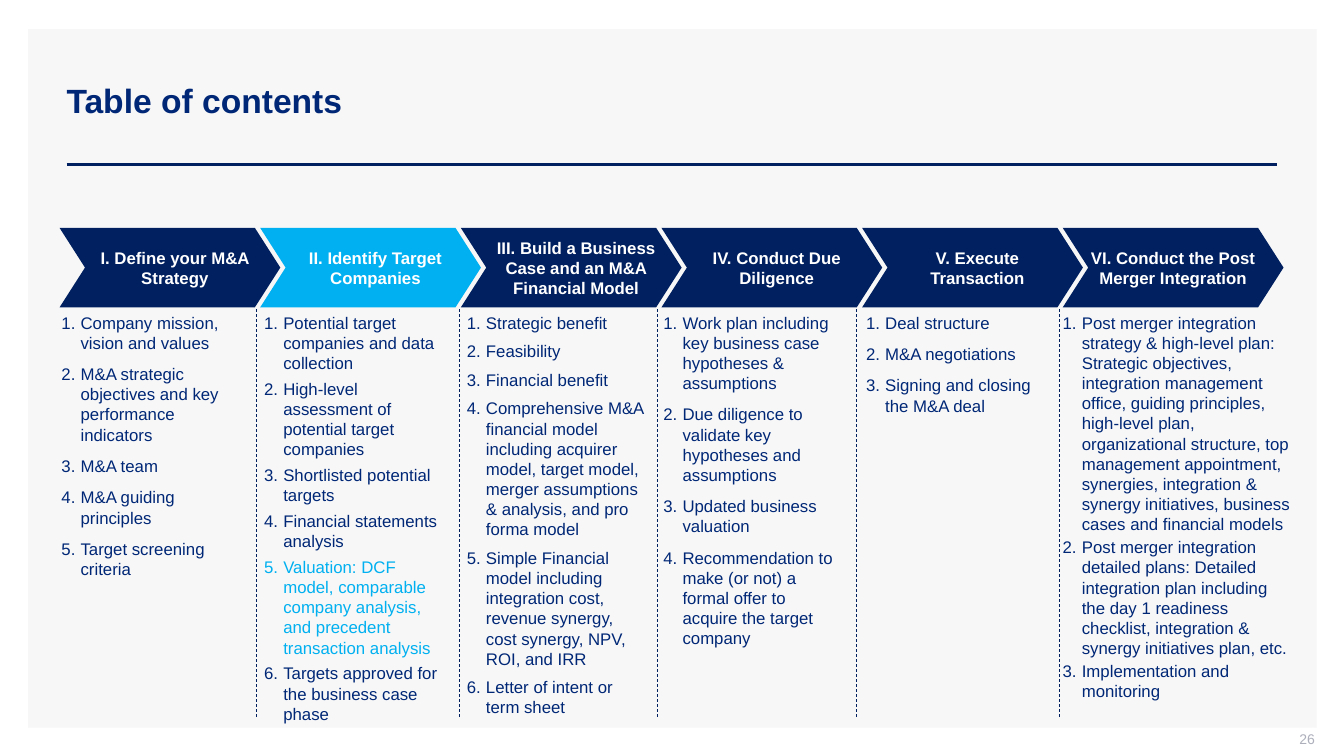
"""Build the table of contents slide with six M&A phases."""
import pptx
import pptx.dml.color
import pptx.enum.dml
import pptx.enum.shapes
import pptx.enum.text
import pptx.oxml.ns
import pptx.util
from lxml import etree

NAVY, TEXT_BLUE, SKY, WHITE = "002060", "002776", "00B0F0", "FFFFFF"
PANEL_GREY, NUMBER_GREY = "F7F7F7", "ADAFBB"
SLIDE_SIZE = (13.33, 7.5)
TITLE, PAGE_NUMBER = "Table of contents", "26"
ACTIVE_PHASE = "II. Identify Target Companies"
ACTIVE_TOPIC = "Valuation: DCF model, comparable company analysis, and precedent transaction analysis"

PHASES = [
    ("I. Define your M&A Strategy", 4, [
        "Company mission, vision and values",
        "M&A strategic objectives and key performance indicators",
        "M&A team",
        "M&A guiding principles",
        "Target screening criteria"]),
    (ACTIVE_PHASE, 2, [
        "Potential target companies and data collection",
        "High-level assessment of potential target companies",
        "Shortlisted potential targets",
        "Financial statements analysis",
        ACTIVE_TOPIC,
        "Targets approved for the business case phase"]),
    ("III. Build a Business Case and an M&A Financial Model", 3, [
        "Strategic benefit",
        "Feasibility",
        "Financial benefit",
        "Comprehensive M&A financial model including acquirer model, target model, "
        "merger assumptions & analysis, and pro forma model",
        "Simple Financial model including integration cost, revenue synergy, "
        "cost synergy, NPV, ROI, and IRR",
        "Letter of intent or term sheet"]),
    ("IV. Conduct Due Diligence", 4, [
        "Work plan including key business case hypotheses & assumptions",
        "Due diligence to validate key hypotheses and assumptions",
        "Updated business valuation",
        "Recommendation to make (or not) a formal offer to acquire the target company"]),
    ("V. Execute Transaction", 4, [
        "Deal structure",
        "M&A negotiations",
        "Signing and closing the M&A deal"]),
    ("VI. Conduct the Post Merger Integration", 1, [
        "Post merger integration strategy & high-level plan: Strategic objectives, "
        "integration management office, guiding principles, high-level plan, "
        "organizational structure, top management appointment, synergies, "
        "integration & synergy initiatives, business cases and financial models",
        "Post merger integration detailed plans: Detailed integration plan including "
        "the day 1 readiness checklist, integration & synergy initiatives plan, etc.",
        "Implementation and monitoring"]),
]
CHEVRON_LEFT, CHEVRON_PITCH = 0.59, 1.99
CHEVRON_TOP, CHEVRON_WIDTH, CHEVRON_HEIGHT = 2.26, 2.19, 0.79
LIST_LEFTS = [0.61, 2.62, 4.63, 6.58, 8.59, 10.54]
LIST_TOP, LIST_HEIGHT, LIST_WIDTH, LAST_LIST_WIDTH = 3.05, 4.2, 1.87, 2.36
DIVIDERS = [2.54, 4.56, 6.52, 8.49, 10.51]
DIVIDER_TOP, DIVIDER_BOTTOM = 3.07, 7.13
NUMBER_INDENT = 0.19


def color(value):
    return pptx.dml.color.RGBColor.from_string(value)


def inches(*lengths):
    return [pptx.util.Inches(length) for length in lengths]


def set_frame(shape, margins, anchor):
    frame = shape.text_frame
    frame.word_wrap = True
    frame.vertical_anchor = anchor
    (frame.margin_left, frame.margin_top,
     frame.margin_right, frame.margin_bottom) = inches(*margins)
    return frame


def set_text(paragraph, text, size, value, alignment, bold=False):
    paragraph.text = text
    paragraph.alignment = alignment
    font = paragraph.font
    font.name, font.size, font.bold = "Arial", pptx.util.Pt(size), bold
    font.color.rgb = color(value)


def add_filled_shape(slide, preset, box, value):
    shape = slide.shapes.add_shape(preset, *inches(*box))
    shape.shadow.inherit = False
    shape.fill.solid()
    shape.fill.fore_color.rgb = color(value)
    shape.line.fill.background()
    return shape


def add_line(slide, start, end, width, dash=None):
    line = slide.shapes.add_connector(
        pptx.enum.shapes.MSO_CONNECTOR.STRAIGHT, *inches(*start, *end))
    line.line.color.rgb = color(NAVY)
    line.line.width = pptx.util.Pt(width)
    line.line.dash_style = dash
    etree.SubElement(line._element.spPr, pptx.oxml.ns.qn("a:effectLst"))


def add_chevron(slide, index, heading):
    box = (CHEVRON_LEFT + index * CHEVRON_PITCH, CHEVRON_TOP, CHEVRON_WIDTH, CHEVRON_HEIGHT)
    fill = SKY if heading == ACTIVE_PHASE else NAVY
    chevron = add_filled_shape(slide, pptx.enum.shapes.MSO_SHAPE.CHEVRON, box, fill)
    chevron.adjustments[0] = 0.32
    left_margin = 0 if index == len(PHASES) - 1 else 0.1
    frame = set_frame(chevron, (left_margin, 0.05, 0, 0.05), pptx.enum.text.MSO_ANCHOR.MIDDLE)
    set_text(frame.paragraphs[0], heading, 12, WHITE, pptx.enum.text.PP_ALIGN.CENTER, True)


def add_numbered_list(slide, index, gap, topics):
    is_last = index == len(PHASES) - 1
    width = LAST_LIST_WIDTH if is_last else LIST_WIDTH
    box = slide.shapes.add_textbox(*inches(LIST_LEFTS[index], LIST_TOP, width, LIST_HEIGHT))
    right_margin = 0.08 if is_last else 0.1
    frame = set_frame(box, (0, 0.05, right_margin, 0.05), pptx.enum.text.MSO_ANCHOR.TOP)
    for position, topic in enumerate(topics):
        paragraph = frame.add_paragraph() if position else frame.paragraphs[0]
        properties = paragraph._p.get_or_add_pPr()
        indent = pptx.util.Inches(NUMBER_INDENT)
        properties.set("marL", str(indent))
        properties.set("indent", str(-indent))
        etree.SubElement(properties, pptx.oxml.ns.qn("a:buFont"), typeface="+mj-lt")
        etree.SubElement(properties, pptx.oxml.ns.qn("a:buAutoNum"), type="arabicPeriod")
        paragraph.space_before = pptx.util.Pt(gap if position else 0)
        paragraph.space_after = pptx.util.Pt(gap)
        value = SKY if topic == ACTIVE_TOPIC else TEXT_BLUE
        set_text(paragraph, topic, 12, value, pptx.enum.text.PP_ALIGN.LEFT)


def main():
    presentation = pptx.Presentation()
    presentation.slide_width, presentation.slide_height = inches(*SLIDE_SIZE)
    slide = presentation.slides.add_slide(presentation.slide_layouts.get_by_name("Title Only"))
    middle = pptx.enum.text.MSO_ANCHOR.MIDDLE

    add_filled_shape(slide, pptx.enum.shapes.MSO_SHAPE.RECTANGLE,
                     (0.28, 0.29, 12.78, 6.93), PANEL_GREY)
    add_line(slide, (0.66, 1.63), (12.67, 1.63), 2)

    title = slide.shapes.title
    title.left, title.top, title.width, title.height = inches(0.56, 0.4, 11.45, 1.19)
    frame = set_frame(title, (0.1, 0.05, 0.1, 0.05), middle)
    set_text(frame.paragraphs[0], TITLE, 24, TEXT_BLUE, pptx.enum.text.PP_ALIGN.LEFT, True)
    slide.shapes._spTree.append(title._element)

    number = slide.shapes.add_textbox(*inches(10.04, 7.25, 3, 0.21))
    frame = set_frame(number, (0.1, 0, 0, 0.05), middle)
    set_text(frame.paragraphs[0], PAGE_NUMBER, 10, NUMBER_GREY, pptx.enum.text.PP_ALIGN.RIGHT)

    for index, (heading, gap, topics) in enumerate(PHASES):
        add_chevron(slide, index, heading)
        add_numbered_list(slide, index, gap, topics)
    for left in DIVIDERS:
        add_line(slide, (left, DIVIDER_TOP), (left, DIVIDER_BOTTOM), 0.5,
                 pptx.enum.dml.MSO_LINE.DASH)
    presentation.save("out.pptx")


if __name__ == "__main__":
    main()
